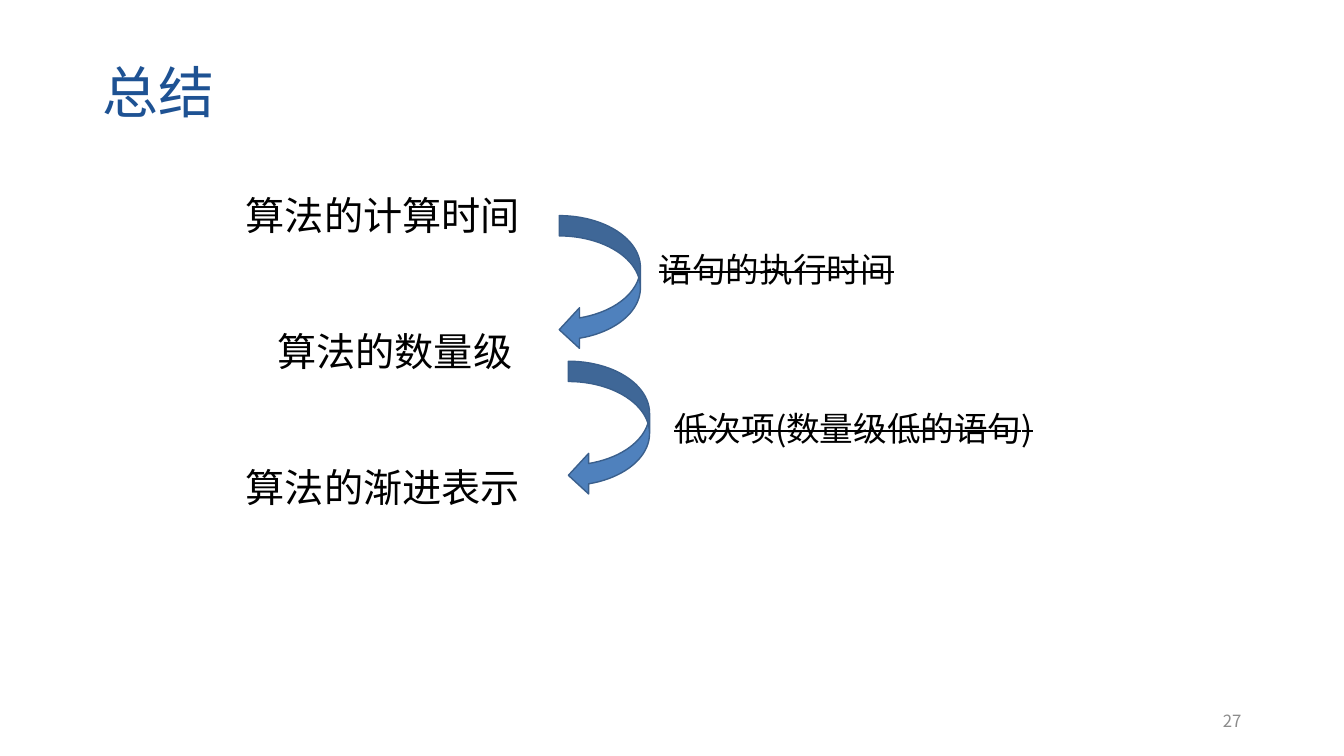
from lxml import etree
from pptx import Presentation
from pptx.dml.color import RGBColor
from pptx.enum.shapes import MSO_SHAPE
from pptx.enum.text import MSO_ANCHOR, MSO_AUTO_SIZE, PP_ALIGN
from pptx.oxml.ns import qn
from pptx.util import Pt

RECTANGLE = MSO_SHAPE.RECTANGLE
CURVED_ARROW = MSO_SHAPE.CURVED_LEFT_ARROW
TOP, MIDDLE = MSO_ANCHOR.TOP, MSO_ANCHOR.MIDDLE
LEFT, CENTER, RIGHT = PP_ALIGN.LEFT, PP_ALIGN.CENTER, PP_ALIGN.RIGHT
GROW, FIXED = MSO_AUTO_SIZE.SHAPE_TO_FIT_TEXT, MSO_AUTO_SIZE.NONE
TITLE_ONLY = 5


def color(value):
    return RGBColor.from_string(value)


class SummarySlide:
    body_font = "Noto Sans CJK SC"
    title_font = "Arial"
    black = "000000"
    white = "FFFFFF"
    title_blue = "1E5293"
    arrow_fill = "4F81BD"
    arrow_line = "3A5F8C"
    number_gray = "8C8C8C"

    def __init__(self, presentation):
        layout = presentation.slide_layouts[TITLE_ONLY]
        self.slide = presentation.slides.add_slide(layout)

    def set_text(self, shape, text, size, text_color, font=body_font,
                 align=LEFT, anchor=TOP, autosize=FIXED, strike=False):
        frame = shape.text_frame
        frame.text = text
        frame.word_wrap = True
        frame.auto_size = autosize
        frame.vertical_anchor = anchor
        paragraph = frame.paragraphs[0]
        paragraph.alignment = align
        run = paragraph.runs[0]
        run.font.size = Pt(size)
        run.font.color.rgb = color(text_color)
        run.font.name = font
        properties = run._r.get_or_add_rPr()
        east_asian = etree.SubElement(properties, qn("a:ea"))
        east_asian.set("typeface", self.body_font)
        if strike:
            properties.set("strike", "sngStrike")
        return paragraph

    def title(self, text, left, top, width, height):
        shape = self.slide.shapes.title
        shape.left, shape.top = Pt(left), Pt(top)
        shape.width, shape.height = Pt(width), Pt(height)
        paragraph = self.set_text(shape, text, 40, self.title_blue,
                                  font=self.title_font, anchor=MIDDLE)
        paragraph.line_spacing = 0.9

    def shape(self, kind, left, top, width, height, fill):
        shape = self.slide.shapes.add_shape(
            kind, Pt(left), Pt(top), Pt(width), Pt(height))
        shape.shadow.inherit = False
        shape.fill.solid()
        shape.fill.fore_color.rgb = color(fill)
        return shape

    def label(self, text, left, top, align):
        shape = self.shape(RECTANGLE, left, top, 227, 41, self.white)
        shape.line.fill.background()
        self.set_text(shape, text, 28, self.black, align=align, autosize=GROW)

    def arrow(self, left, top):
        shape = self.shape(CURVED_ARROW, left, top, 58, 96, self.arrow_fill)
        shape.line.color.rgb = color(self.arrow_line)
        shape.line.width = Pt(1)

    def text_box(self, text, left, top, width, height, size, text_color, **style):
        box = self.slide.shapes.add_textbox(
            Pt(left), Pt(top), Pt(width), Pt(height))
        self.set_text(box, text, size, text_color, **style)

    def dropped_term(self, text, left, top, width):
        self.text_box(text, left, top, width, 36, 24, self.black,
                      autosize=GROW, strike=True)

    def page_number(self, text):
        self.text_box(text, 678, 500.5, 216, 29, 12, self.number_gray,
                      align=RIGHT, anchor=MIDDLE)


def main():
    presentation = Presentation()
    presentation.slide_width = Pt(960)
    presentation.slide_height = Pt(540)

    summary = SummarySlide(presentation)
    summary.title("总结", 66, 16, 828, 104)

    steps = [("算法的计算时间", LEFT), ("算法的数量级", CENTER), ("算法的渐进表示", LEFT)]
    for index, (text, align) in enumerate(steps):
        summary.label(text, 168.5, 133 + 97.2 * index, align)

    for left, top in [(399.5, 154), (406, 258)]:
        summary.arrow(left, top)

    summary.dropped_term("语句的执行时间", 463.5, 174, 203)
    summary.dropped_term("低次项(数量级低的语句)", 474.5, 287.5, 306)
    summary.page_number("27")

    presentation.save("out.pptx")


if __name__ == "__main__":
    main()
